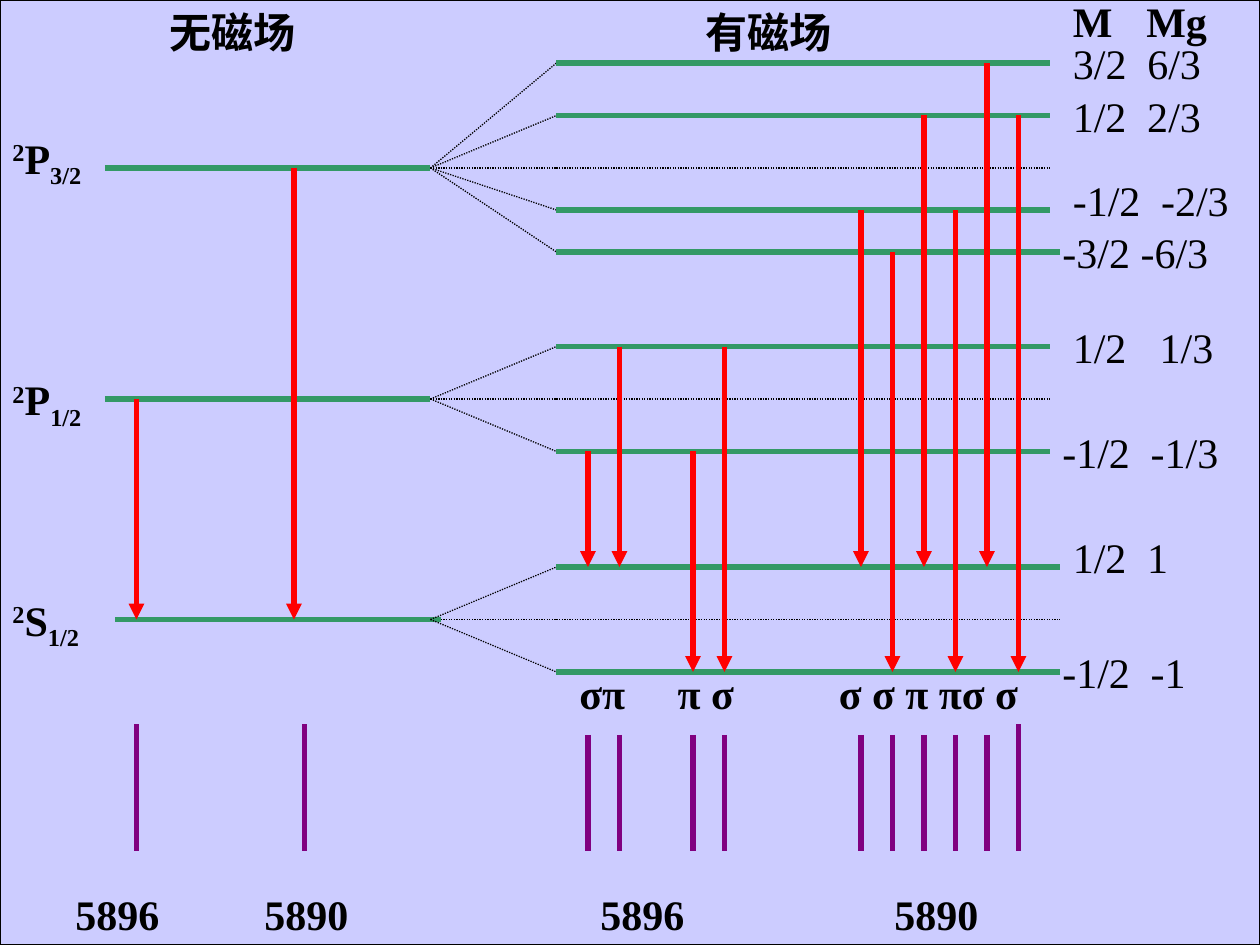
"""Zeeman splitting of the sodium D lines, laid out on a grid of twelfths of an inch."""
from dataclasses import dataclass

from lxml.etree import SubElement
from pptx import Presentation
from pptx.dml.color import RGBColor
from pptx.enum.dml import MSO_LINE
from pptx.enum.shapes import MSO_CONNECTOR, MSO_SHAPE
from pptx.oxml.ns import qn
from pptx.util import Cm, Pt


@dataclass(frozen=True)
class Theme:
    back: str = "CCCCFF"
    ink: str = "000000"
    level: str = "339966"
    arrow: str = "FF0000"
    spectrum: str = "800080"
    font: str = "Times New Roman"
    size: int = 24
    thick: float = 3
    thin: float = 0.75


T = Theme()
WIDTH, HEIGHT, TEXT_H = 120, 90, 6
FORK_X, SPLIT_X = 41, 53

TERMS = [
    dict(letter="P", j="3/2", label=(0, 12, 13), y=16, x=(10, 41), end=100,
         split=[(6, 100), (11, 100), (20, 100), (24, 101)]),
    dict(letter="P", j="1/2", label=(0, 35, 16), y=38, x=(10, 41), end=100,
         split=[(33, 100), (43, 100)]),
    dict(letter="S", j="1/2", label=(0, 56, 12), y=59, x=(11, 42), end=101,
         split=[(54, 101), (64, 101)]),
]
TRANSITIONS = [
    (13, 38, 59), (28, 16, 59),
    (56, 43, 54), (59, 33, 54), (66, 43, 64), (69, 33, 64),
    (82, 20, 54), (85, 24, 64), (88, 11, 54), (91, 20, 64), (94, 6, 54), (97, 11, 64),
]
SPECTRUM = [
    (69, (13, 29, 97)),
    (70, (56, 59, 66, 69, 82, 85, 88, 91, 94)),
]
SPECTRUM_END = 81
HEADINGS = [
    ("无磁场", 15, 0, 22), ("有磁场", 66, 0, 26),
    ("M", 101, -1, 8), ("Mg", 108, -1, 12),
    ("5896", 6, 84, 16), ("5890", 24, 84, 19),
    ("5896", 56, 84, 16), ("5890", 84, 84, 19),
]
POLARISATION = ("σπ\tπ σ\tσ σ π πσ σ", 54, 63, 62, (1.98, 5.23))
VALUES = [
    ("3/2\t6/3", 101, 3, 15, 1.5),
    ("1/2\t2/3", 101, 8, 18, 1.5),
    ("-1/2\t-2/3", 101, 16, 19, 1.78),
    ("-3/2 -6/3", 100, 21, 20, 1.5),
    ("1/2\t1/3", 101, 30, 18, 1.75),
    ("-1/2\t-1/3", 100, 40, 18, 1.78),
    ("1/2\t1", 101, 50, 18, 1.5),
    ("-1/2\t-1", 100, 61, 17, 1.78),
]


def grid(n):
    return Cm(2.54 * n / 12)


def add_line(shapes, x1, y1, x2, y2, color, width=T.thick, dash=None, head=False):
    c = shapes.add_connector(MSO_CONNECTOR.STRAIGHT, grid(x1), grid(y1), grid(x2), grid(y2))
    c.line.color.rgb = RGBColor.from_string(color)
    c.line.width = Pt(width)
    if dash:
        c.line.dash_style = dash
    pr = c._element.spPr
    if head:
        SubElement(pr.find(qn("a:ln")), qn("a:tailEnd"), type="triangle")
    SubElement(pr, qn("a:effectLst"))


def add_dotted(shapes, x1, y1, x2, y2):
    add_line(shapes, x1, y1, x2, y2, T.ink, T.thin, MSO_LINE.ROUND_DOT)


def add_text(shapes, text, x, y, w, bold=True, tabs=()):
    tf = shapes.add_textbox(grid(x), grid(y), grid(w), grid(TEXT_H)).text_frame
    tf.word_wrap = True
    p = tf.paragraphs[0]
    if tabs:
        stops = SubElement(p._p.get_or_add_pPr(), qn("a:tabLst"))
        for pos in tabs:
            SubElement(stops, qn("a:tab"), pos=str(Cm(pos)), algn="l")
    p.text = text
    format_runs(p, bold)
    return p


def format_runs(p, bold):
    for r in p.runs:
        r.font.name = T.font
        r.font.size = Pt(T.size)
        r.font.bold = bold
        r.font.color.rgb = RGBColor.from_string(T.ink)


def add_term(shapes, term):
    y = term["y"]
    p = add_text(shapes, "2", *term["label"])
    for part in (term["letter"], term["j"]):
        p.add_run().text = part
    format_runs(p, True)
    for r, shift in zip(p.runs, (30000, 0, -25000)):
        r._r.get_or_add_rPr().set("baseline", str(shift))
    add_dotted(shapes, FORK_X, y, SPLIT_X, y)
    add_dotted(shapes, SPLIT_X, y, term["end"], y)
    add_line(shapes, term["x"][0], y, term["x"][1], y, T.level)
    for sub_y, end in term["split"]:
        add_dotted(shapes, FORK_X, y, SPLIT_X, sub_y)
        add_line(shapes, SPLIT_X, sub_y, end, sub_y, T.level)


def main():
    prs = Presentation()
    prs.slide_width, prs.slide_height = grid(WIDTH), grid(HEIGHT)
    s = prs.slides.add_slide(prs.slide_layouts[6])
    shapes = s.shapes

    sp = shapes.add_shape(MSO_SHAPE.RECTANGLE, 0, 0, grid(WIDTH), grid(HEIGHT))
    sp.shadow.inherit = False
    sp.fill.solid()
    sp.fill.fore_color.rgb = RGBColor.from_string(T.back)
    sp.line.color.rgb = RGBColor.from_string(T.ink)
    sp.line.width = Pt(T.thin)

    text, x, y, w, tabs = POLARISATION
    add_text(shapes, text, x, y, w, tabs=tabs)
    for term in TERMS:
        add_term(shapes, term)
    for x, top, bottom in TRANSITIONS:
        add_line(shapes, x, top, x, bottom, T.arrow, head=True)
    for top, columns in SPECTRUM:
        for x in columns:
            add_line(shapes, x, top, x, SPECTRUM_END, T.spectrum)
    for heading in HEADINGS:
        add_text(shapes, *heading)
    for text, x, y, w, tab in VALUES:
        add_text(shapes, text, x, y, w, bold=False, tabs=(tab,))

    prs.save("out.pptx")


if __name__ == "__main__":
    main()
